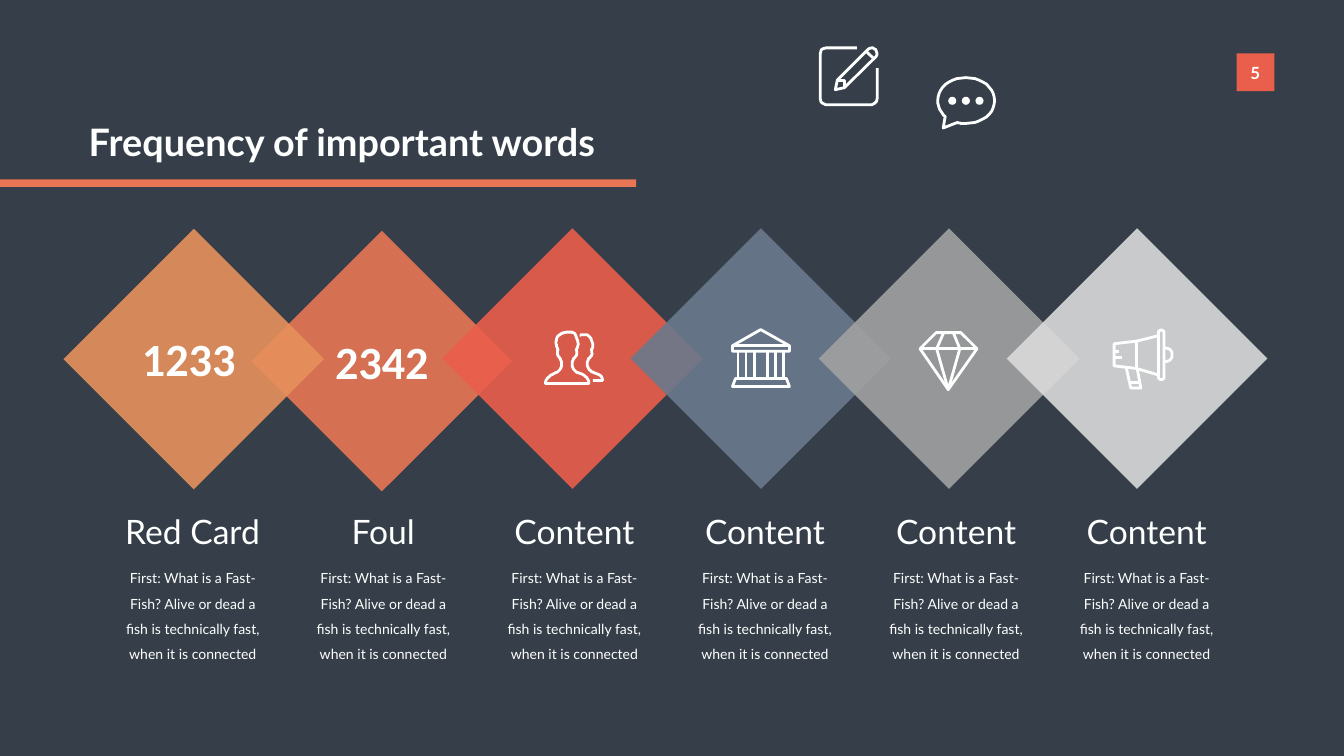
from dataclasses import dataclass

from lxml import etree
from pptx import Presentation
from pptx import util as u
from pptx.dml.color import RGBColor
from pptx.enum import shapes, text
from pptx.oxml.ns import qn

SCALE = 9144  # EMU per px, 100 px to the inch
WHITE, ORANGE, RED = "FEFFFF", "E87655", "EA5E4C"
DIAMOND_SIZE = 517
COLUMN_LEFT, COLUMN_WIDTH, COLUMN_PITCH = 224, 317, 378.4
ICON_STROKE = 4
CURVE_STEPS = 10
DESCRIPTION = ("First: What is a Fast-Fish? Alive or dead a fish is "
               "technically fast, when it is connected")


@dataclass
class Diamond:
    left: int
    top: int
    color: str
    label: str = ""


@dataclass
class Heading:
    label: str
    width: int


@dataclass
class Icon:
    left: int
    top: int
    outline: str  # M, L, C and Z commands, in px from the icon's corner


@dataclass
class Style:
    size: int
    font: str = "Lato"
    bold: bool = False
    align: text.PP_ALIGN = text.PP_ALIGN.CENTER
    spacing: float = 1.0
    margins: tuple[int, int] = (10, 5)


# Later diamonds overlap earlier ones; the leftmost lies on top
DIAMONDS = [
    Diamond(499, 458, ORANGE, "2342"),
    Diamond(877, 453, RED),
    Diamond(1251, 453, "6A7A8D"),
    Diamond(1624, 453, "A1A1A1"),
    Diamond(1997, 453, "DADADA"),
    Diamond(126, 454, "E7905C"),
]
HEADINGS = [Heading("Red Card", 290), Heading("Foul", 148)] + [Heading("Content", 259)] * 4

PENCIL = Icon(1624, 92, """
    M 76 3 L 16 3 C 8 3 3 8 3 16 L 3 102 C 3 110 8 116 16 116 L 103 116
    C 111 116 116 110 116 102 L 116 43
    M 33 86 L 51 82 L 113 21 C 121 11 109 -3 98 6 L 37 67 Z
    M 37 67 L 51 67 L 51 82 M 94 10 L 109 24""")
SPEECH = Icon(1857, 151, """
    M 42 92 C 48 94 53 94 59 94 C 91 94 116 74 116 49 C 116 23 91 3 59 3
    C 27 3 3 23 3 49 C 3 62 9 72 18 80 L 14 103 Z""")
PEOPLE = Icon(1079, 656, """
    M 3 105 C 3 93 14 88 22 84 C 27 82 35 78 35 67 C 35 58 31 54 28 50
    C 27 47 26 44 28 38 C 24 30 23 22 26 14 C 29 8 34 6 37 5
    C 40 4 45 3 49 3 C 53 3 56 3 58 4 C 62 6 63 9 65 15
    C 69 24 68 32 64 38 C 66 44 65 47 64 50 C 60 54 56 58 56 67
    C 56 78 64 82 69 84 C 78 87 89 92 89 105 Z
    M 71 9 C 74 8 77 8 80 8 C 84 8 86 8 88 10 C 90 12 93 13 94 19
    C 98 27 98 33 94 38 C 96 44 96 48 94 50 C 90 54 86 58 86 66
    C 86 77 94 81 98 83 C 107 86 116 88 116 99 L 97 99""")
BANK = Icon(1450, 651, """
    M 3 35 L 59 3 L 116 35 L 116 46 L 3 46 Z M 3 35 L 116 35
    M 9 100 L 110 100 L 116 116 L 3 116 Z """
    + " ".join(f"M {x} 46 L {x} 100" for x in (14, 30, 46, 73, 89, 105)))
GEM = Icon(1822, 657, """
    M 35 3 L 84 3 L 116 35 L 59 116 L 3 35 Z M 3 35 L 116 35
    M 50 3 L 36 35 L 59 116 L 82 35 L 69 3""")
MEGAPHONE = Icon(2207, 652, """
    M 91 8 C 91 1 102 1 102 8 L 102 96 C 102 103 91 103 91 96 Z
    M 91 14 L 47 25 L 3 30 L 3 74 L 47 79 L 91 92 M 47 25 L 47 79
    M 3 46 L 13 46 M 3 57 L 19 57 M 102 38 C 124 38 124 66 102 66
    M 27 77 L 36 118 L 56 118 L 49 80 M 34 107 L 54 107""")


def px(length: float) -> int:
    return round(length * SCALE)


def rgb(color: str) -> RGBColor:
    return RGBColor.from_string(color)


def write(frame, content: str, style: Style) -> None:
    frame.margin_left = frame.margin_right = px(style.margins[0])
    frame.margin_top = frame.margin_bottom = px(style.margins[1])
    paragraph = frame.paragraphs[0]
    paragraph.alignment = style.align
    paragraph.line_spacing = style.spacing
    run = paragraph.add_run()
    run.text = content
    run.font.size = u.Pt(style.size)
    run.font.name = style.font
    run.font.bold = style.bold
    run.font.color.rgb = rgb(WHITE)


def add_label(slide, box: tuple, content: str, style: Style, wrap: bool = False) -> None:
    frame = slide.shapes.add_textbox(*map(px, box)).text_frame
    frame.word_wrap = wrap
    write(frame, content, style)


def add_block(slide, kind, box: tuple, color: str):
    block = slide.shapes.add_shape(kind, *map(px, box))
    block.shadow.inherit = False
    block.fill.solid()
    block.fill.fore_color.rgb = rgb(color)
    block.line.fill.background()
    return block


def add_diamond(slide, item: Diamond) -> None:
    box = (item.left, item.top, DIAMOND_SIZE, DIAMOND_SIZE)
    diamond = add_block(slide, shapes.MSO_SHAPE.DIAMOND, box, item.color)
    tint = diamond.fill._xPr.find(".//" + qn("a:srgbClr"))
    etree.SubElement(tint, qn("a:alpha"), val="90000")
    if item.label:
        diamond.text_frame.vertical_anchor = text.MSO_ANCHOR.MIDDLE
        write(diamond.text_frame, item.label, Style(66, "Calibri", True, margins=(27, 13)))


def bezier(p0: tuple, p1: tuple, p2: tuple, p3: tuple) -> list[tuple]:
    steps = [i / CURVE_STEPS for i in range(1, CURVE_STEPS + 1)]
    return [tuple((1 - t) ** 3 * a + 3 * t * (1 - t) ** 2 * b + 3 * t * t * (1 - t) * c + t ** 3 * d
                  for a, b, c, d in zip(p0, p1, p2, p3)) for t in steps]


def trace(outline: str) -> list[tuple[list, bool]]:
    """Turn outline commands into contours of points, each open or closed."""
    contours = []
    for part in outline.split("M")[1:]:
        tokens = part.replace("Z", "").replace("L", "|L").replace("C", "|C").split("|")
        points = []
        for token in tokens:
            values = [float(v) for v in token.strip(" \nLC").split()]
            pairs = list(zip(values[::2], values[1::2]))
            points += bezier(points[-1], *pairs) if token.startswith("C") else pairs
        contours.append((points, "Z" in part))
    return contours


def add_icon(slide, icon: Icon) -> None:
    contours = trace(icon.outline)
    builder = slide.shapes.build_freeform(*contours[0][0][0], scale=SCALE)
    for points, closed in contours:
        builder.move_to(*points[0])
        builder.add_line_segments(points[1:], close=closed)
    drawing = builder.convert_to_shape(px(icon.left), px(icon.top))
    drawing.shadow.inherit = False
    drawing.fill.background()
    drawing.line.color.rgb = rgb(WHITE)
    drawing.line.width = u.Pt(ICON_STROKE)


def main() -> None:
    deck = Presentation()
    deck.slide_width, deck.slide_height = px(2666), px(1500)
    slide = deck.slides.add_slide(deck.slide_layouts[5])
    slide.background.fill.solid()
    slide.background.fill.fore_color.rgb = rgb("363F49")

    # Title and its underline
    title = slide.shapes.title
    title.left, title.top, title.width, title.height = map(px, (166, 231, 1067, 101))
    title.text_frame.word_wrap = False
    title.text_frame.auto_size = text.MSO_AUTO_SIZE.NONE
    title.text_frame.vertical_anchor = text.MSO_ANCHOR.TOP
    write(title.text_frame, "Frequency of important words",
          Style(54, bold=True, align=text.PP_ALIGN.LEFT))
    add_block(slide, shapes.MSO_SHAPE.RECTANGLE, (-78, 356, 1340, 15), ORANGE)

    # Page number
    add_block(slide, shapes.MSO_SHAPE.RECTANGLE, (2453, 106, 75, 75), RED)
    add_label(slide, (2451, 114, 78, 61), "5", Style(24, bold=True, margins=(20, 10)))

    # Row of diamonds with figures and icons
    for diamond in DIAMONDS:
        add_diamond(slide, diamond)
    add_label(slide, (267, 651, 215, 121), "1233", Style(66, "Calibri", True), wrap=True)
    for icon in (PENCIL, SPEECH, PEOPLE, BANK, GEM, MEGAPHONE):
        add_icon(slide, icon)
    for dot in range(3):
        box = (SPEECH.left + 24 + 27 * dot, SPEECH.top + 41, 16, 16)
        add_block(slide, shapes.MSO_SHAPE.OVAL, box, WHITE)

    # Column headings and descriptions
    for index, heading in enumerate(HEADINGS):
        left = round(COLUMN_LEFT + index * COLUMN_PITCH)
        heading_left = left + (COLUMN_WIDTH - heading.width) // 2
        add_label(slide, (heading_left, 1008, heading.width, 91), heading.label, Style(48))
        add_label(slide, (left, 1109, COLUMN_WIDTH, 212), DESCRIPTION,
                  Style(20, spacing=1.5), wrap=True)

    deck.save("out.pptx")


if __name__ == "__main__":
    main()
